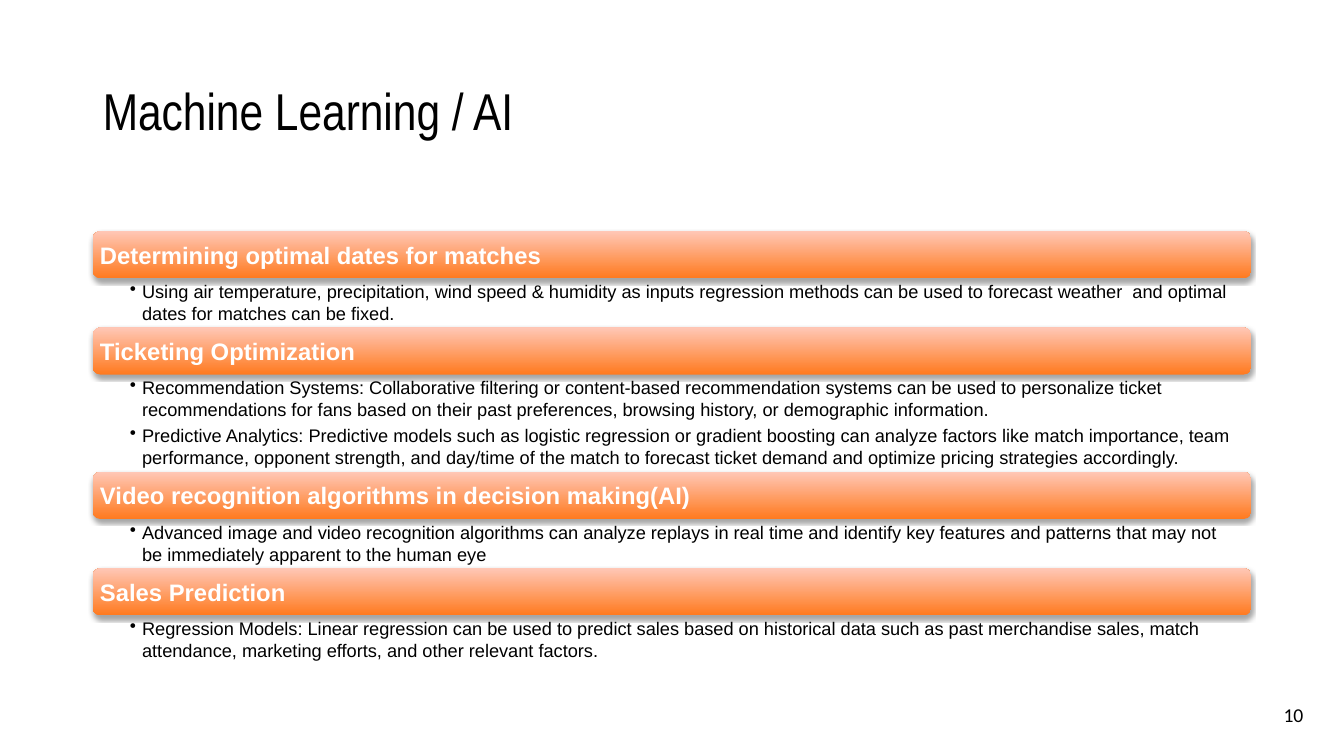
import pptx
import pptx.util
import pptx.dml.color
import pptx.enum.shapes
import pptx.enum.text
import pptx.oxml
import pptx.oxml.ns

Pt, Inches = pptx.util.Pt, pptx.util.Inches
Anchor, Align = pptx.enum.text.MSO_ANCHOR, pptx.enum.text.PP_ALIGN
SIDES = "margin_left", "margin_top", "margin_right", "margin_bottom"

TOPICS = [
    ("Determining optimal dates for matches", [
        "Using air temperature, precipitation, wind speed & humidity as inputs regression methods "
        "can be used to forecast weather  and optimal dates for matches can be fixed."]),
    ("Ticketing Optimization", [
        "Recommendation Systems: Collaborative filtering or content-based recommendation systems "
        "can be used to personalize ticket recommendations for fans based on their past "
        "preferences, browsing history, or demographic information.",
        "Predictive Analytics: Predictive models such as logistic regression or gradient boosting "
        "can analyze factors like match importance, team performance, opponent strength, and "
        "day/time of the match to forecast ticket demand and optimize pricing strategies "
        "accordingly."]),
    ("Video recognition algorithms in decision making(AI)", [
        "Advanced image and video recognition algorithms can analyze replays in real time and "
        "identify key features and patterns that may not be immediately apparent to the human eye"]),
    ("Sales Prediction", [
        "Regression Models: Linear regression can be used to predict sales based on historical "
        "data such as past merchandise sales, match attendance, marketing efforts, and other "
        "relevant factors."]),
]


def tint(code):
    return pptx.dml.color.RGBColor.from_string(code)


def apply(thing, values):
    for name, value in values.items():
        setattr(thing, name, value)


class Deck:
    """Holds the style and the current slide; lengths are grid columns and rows."""
    COLS, ROWS = 29, 15.7
    FONTS = {
        "title": dict(name="Arial Narrow", size=Pt(37), bold=False),
        "head": dict(name="Arial", size=Pt(17), bold=True),
        "body": dict(name="Arial", size=Pt(13), bold=False),
        "page": dict(name="Calibri", size=Pt(14), bold=False),
    }
    INKS = {"head": "FFFFFF"}

    def __init__(self):
        self.show = pptx.Presentation()
        apply(self.show, dict(slide_width=Inches(13.33), slide_height=Inches(7.5)))
        self.slide = self.show.slides.add_slide(self.show.slide_layouts[5])

    def place(self, col, row, cols, rows):
        wide = self.show.slide_width / self.COLS
        high = self.show.slide_height / self.ROWS
        return [round(n) for n in (col * wide, row * high, cols * wide, rows * high)]

    def set_text(self, shape, style, texts, insets, anchor=Anchor.TOP, **layout):
        """Fill a shape with one paragraph per text; layout sets the paragraph format."""
        frame = shape.text_frame
        apply(frame, dict(word_wrap=True, vertical_anchor=anchor,
                          auto_size=pptx.enum.text.MSO_AUTO_SIZE.NONE))
        apply(frame, dict(zip(SIDES, map(Inches, insets))))
        frame.text = "\n".join(texts)
        for para in frame.paragraphs:
            apply(para, dict(alignment=Align.LEFT, **layout))
            font = para.runs[0].font
            apply(font, self.FONTS[style])
            font.color.rgb = tint(self.INKS.get(style, "000000"))
        return frame

    def title(self, text, *spot):
        shape = self.slide.shapes.title
        apply(shape, dict(zip(("left", "top", "width", "height"), self.place(*spot))))
        self.set_text(shape, "title", [text], (0.1, 0.05, 0.1, 0.05), Anchor.MIDDLE,
                      line_spacing=0.9)

    def page(self, text, *spot):
        box = self.slide.shapes.add_textbox(*self.place(*spot))
        self.set_text(box, "page", [text], (0.1, 0.05, 0.1, 0.05),
                      line_spacing=0.9, space_after=Pt(6))

    def bar(self, text, *spot):
        kind = pptx.enum.shapes.MSO_SHAPE.ROUNDED_RECTANGLE
        shape = self.slide.shapes.add_shape(kind, *self.place(*spot))
        shape.line.fill.background()
        shape.fill.gradient()
        shape.fill.gradient_angle = 90
        for stop, place, code in zip(shape.fill.gradient_stops, (0, 1), ("FF7A1F", "FFC7B6")):
            stop.position = place
            stop.color.rgb = tint(code)
        self.shade(shape)
        self.set_text(shape, "head", [text], (0.05, 0.05, 0.05, 0.05), Anchor.MIDDLE)

    def shade(self, shape):
        """Give the shape a soft shadow straight below it."""
        shape.shadow.inherit = False
        effects = shape.element.spPr.find(pptx.oxml.ns.qn("a:effectLst"))
        effects.append(pptx.oxml.parse_xml(
            f'<a:outerShdw {pptx.oxml.ns.nsdecls("a")} blurRad="{Pt(3.1)}" dist="{Pt(1.8)}" '
            'dir="5400000" rotWithShape="0"><a:srgbClr val="000000">'
            '<a:alpha val="35000"/></a:srgbClr></a:outerShdw>'))

    def points(self, texts, *spot):
        box = self.slide.shapes.add_textbox(*self.place(*spot))
        frame = self.set_text(box, "body", texts, (0.37, 0.02, 0.13, 0.02),
                              level=1, space_after=Pt(3))
        for para in frame.paragraphs:
            props = para._p.get_or_add_pPr()
            props.set("marL", str(Inches(0.12)))
            props.set("indent", str(-Inches(0.12)))
            props.append(pptx.oxml.parse_xml(
                f'<a:buChar {pptx.oxml.ns.nsdecls("a")} char="•"/>'))


def main():
    deck = Deck()
    deck.title("Machine Learning / AI", 2, 0.84, 25, 3.04)
    deck.page("10", 27.48, 14.55, 1.33, 0.84)
    row = 4.8
    for head, texts in TOPICS:
        deck.bar(head, 2, row, 25, 0.98)
        deck.points(texts, 2, row + 0.98, 25, len(texts))
        row += 1 + len(texts)
    deck.show.save("out.pptx")


if __name__ == "__main__":
    main()
